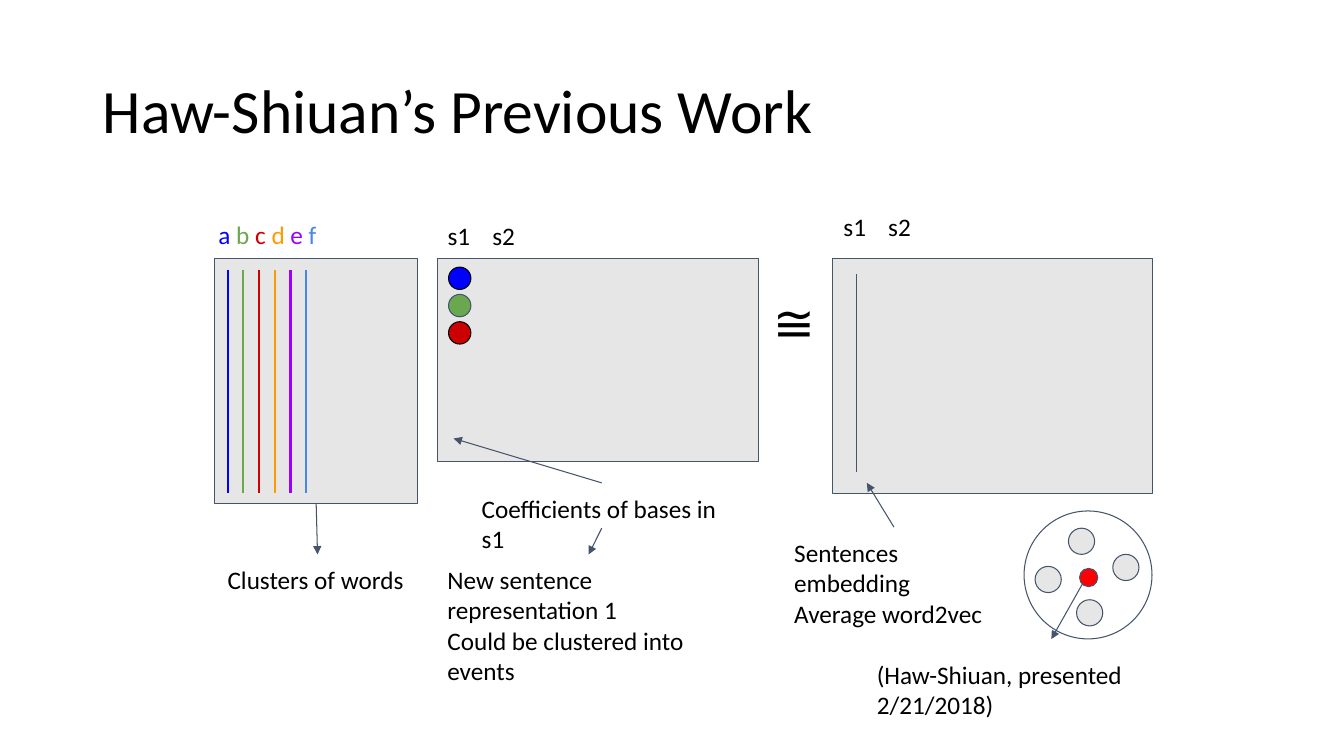
from dataclasses import dataclass

from lxml import etree
from pptx import Presentation
from pptx.dml.color import RGBColor
from pptx.enum import shapes, text
from pptx.oxml.ns import qn
from pptx.util import Pt


@dataclass(frozen=True)
class Theme:
    font: str = "Calibri"
    title_size: int = 44
    symbol_size: int = 36
    body_size: int = 18
    ink: str = "000000"
    outline: str = "44546A"
    panel: str = "E7E6E6"
    blue: str = "0000FF"
    green: str = "6AA84F"
    red: str = "CC0000"
    orange: str = "FF9900"
    purple: str = "9900FF"
    sky: str = "4A86E8"
    centroid: str = "FF0000"
    thin: float = 0.75
    thick: float = 1.5


class SlideBuilder:
    """Draws styled elements on one slide; all lengths are in points."""

    def __init__(self, page, theme):
        self.page = page
        self.theme = theme

    def add_span(self, para, words, size, color):
        span = para.add_run()
        span.text = words
        span.font.name = self.theme.font
        span.font.size = Pt(size)
        span.font.color.rgb = RGBColor.from_string(color)

    def title(self, words, left, top, width, height):
        box = self.page.shapes.title
        box.left, box.top, box.width, box.height = map(Pt, (left, top, width, height))
        frame = box.text_frame
        frame.auto_size = text.MSO_AUTO_SIZE.NONE
        frame.vertical_anchor = text.MSO_ANCHOR.MIDDLE
        para = frame.paragraphs[0]
        para.alignment = text.PP_ALIGN.LEFT
        para.line_spacing = 0.9
        self.add_span(para, words, self.theme.title_size, self.theme.ink)

    def label(self, paragraphs, left, top, width, height, size=None, pad=7.2):
        """Add a text box; each paragraph is a string or a list of (words, color)."""
        box = self.page.shapes.add_textbox(*map(Pt, (left, top, width, height)))
        frame = box.text_frame
        frame.word_wrap = True
        frame.margin_top = frame.margin_bottom = Pt(pad)
        for index, content in enumerate(paragraphs):
            para = frame.add_paragraph() if index else frame.paragraphs[0]
            spans = [(content, self.theme.ink)] if isinstance(content, str) else content
            for words, color in spans:
                self.add_span(para, words, size or self.theme.body_size, color)
        return frame

    def shape(self, kind, left, top, width, height, fill=None, line=None):
        item = self.page.shapes.add_shape(kind, *map(Pt, (left, top, width, height)))
        item.shadow.inherit = False
        if fill:
            item.fill.solid()
            item.fill.fore_color.rgb = RGBColor.from_string(fill)
        else:
            item.fill.background()
        item.line.color.rgb = RGBColor.from_string(line or self.theme.outline)
        item.line.width = Pt(self.theme.thin)
        return item

    def panel(self, *place):
        return self.shape(shapes.MSO_SHAPE.RECTANGLE, *place, fill=self.theme.panel)

    def circle(self, left, top, size, fill=None, line=None):
        return self.shape(shapes.MSO_SHAPE.OVAL, left, top, size, size, fill, line)

    def line(self, start, end, color=None, width=None):
        item = self.page.shapes.add_connector(
            shapes.MSO_CONNECTOR.STRAIGHT, *map(Pt, (*start, *end)))
        item.line.color.rgb = RGBColor.from_string(color or self.theme.outline)
        item.line.width = Pt(width or self.theme.thin)
        etree.SubElement(item._element.spPr, qn("a:effectLst"))
        return item

    def arrow(self, start, end):
        item = self.line(start, end)
        etree.SubElement(item.line._get_or_add_ln(), qn("a:tailEnd"), type="triangle")
        return item


def draw_word_clusters(slide):
    theme = slide.theme
    matrix = slide.panel(153.4, 185, 144.9, 175)
    colors = (theme.blue, theme.green, theme.red, theme.orange, theme.purple, theme.sky)
    for index, color in enumerate(colors):
        x = 162.7 + 11.2 * index
        slide.line((x, 193), (x, 352.1), color, theme.thick)

    names = ("a ", "b ", "c ", "d ", "e ", "f")
    frame = slide.label([list(zip(names, colors))], 149, 149, 117.4, 33.1)
    frame.vertical_anchor = text.MSO_ANCHOR.MIDDLE
    frame.paragraphs[0].line_spacing = 1.15
    frame.paragraphs[0].space_after = Pt(16)

    slide.arrow((225.8, 360), (226.8, 396)).begin_connect(matrix, 2)
    slide.label(["Clusters of words"], 155.5, 396, 141.8, 25.2)


def draw_sentence_names(slide, left, top):
    for index, name in enumerate(("s1", "s2")):
        slide.label([name], left + 32 * index, top, 31.7, 25.2)


def draw_coefficients(slide):
    theme = slide.theme
    slide.panel(312.7, 184.9, 229, 144.7)
    draw_sentence_names(slide, 312.6, 149.8)
    dots = ((theme.blue, theme.ink), (theme.green, theme.outline), (theme.red, theme.ink))
    for index, (fill, line) in enumerate(dots):
        slide.circle(320.4, 190.8 + 19.5 * index, 16, fill, line)
    slide.arrow((429.8, 344.9), (324, 313.2))
    slide.label(["Coefficients of bases in s1"], 337, 344.9, 185.8, 33.1)
    slide.arrow((429.8, 377.3), (420.5, 396))
    slide.label(["New sentence representation 1", "Could be clustered into events"],
                312.5, 396, 216, 51.1)


def draw_sentence_embedding(slide):
    theme = slide.theme
    slide.panel(594.4, 184.9, 229, 167.8)
    draw_sentence_names(slide, 595.4, 144)
    slide.line((612, 195.8), (612, 337))
    slide.arrow((638.6, 376.6), (619.2, 344.9))
    slide.label(["Sentences embedding", "Average word2vec"], 560.2, 376.6, 157.7, 44.6)

    slide.circle(731.5, 365, 91.4)
    for left, top in ((763.2, 377.3), (794.9, 396), (739.4, 404.6), (769, 428.4)):
        slide.circle(left, top, 18.7, theme.panel)
    slide.circle(771.1, 406, 13, theme.centroid)
    slide.arrow((773.3, 416.9), (751, 456.5))
    slide.label(["(Haw-Shiuan, presented 2/21/2018)"], 619.2, 467.3, 274.3, 28.8, pad=3.6)


def main():
    deck = Presentation()
    deck.slide_width, deck.slide_height = Pt(960), Pt(540)
    theme = Theme()
    slide = SlideBuilder(deck.slides.add_slide(deck.slide_layouts[5]), theme)
    slide.title("Haw-Shiuan’s Previous Work", 66.2, 28.8, 828, 104.4)
    draw_word_clusters(slide)
    draw_coefficients(slide)
    slide.label(["≅"], 545, 200.9, 39.6, 44.6, theme.symbol_size)
    draw_sentence_embedding(slide)
    deck.save("out.pptx")


if __name__ == "__main__":
    main()
